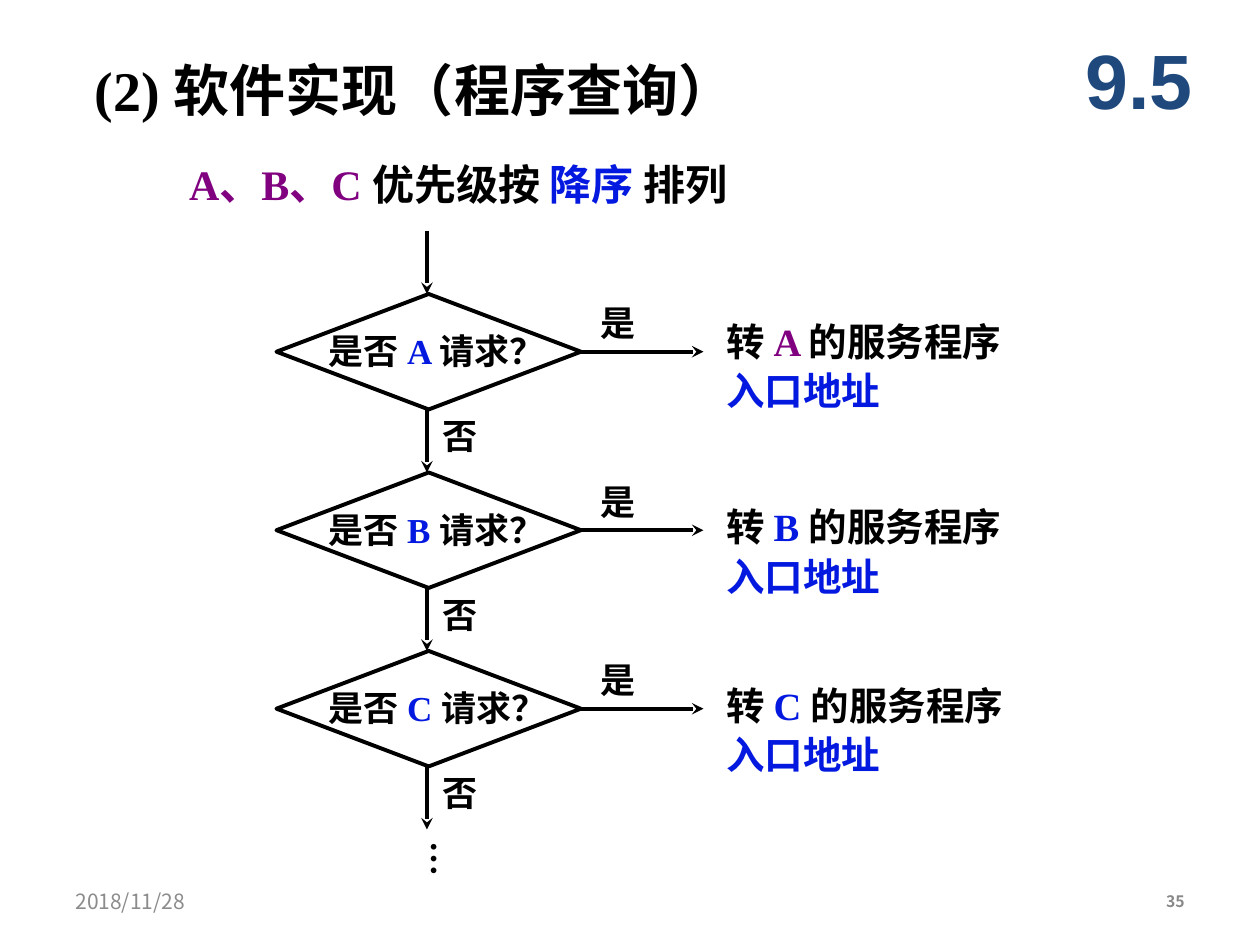
from dataclasses import dataclass
from typing import NamedTuple

from lxml.etree import SubElement
from pptx import Presentation
from pptx.dml.color import RGBColor
from pptx.enum.shapes import MSO_CONNECTOR, MSO_SHAPE
from pptx.enum.text import MSO_ANCHOR, PP_ALIGN
from pptx.oxml.ns import qn
from pptx.util import Pt


@dataclass(frozen=True)
class Theme:
    black: str = "000000"
    blue: str = "0419E0"
    purple: str = "800080"
    navy: str = "1F497D"
    date: str = "8C8C8C"
    number: str = "898989"
    serif: str = "Times New Roman"
    sans: str = "Arial"
    footer: str = "Noto Sans CJK SC"
    title: float = 32
    lead: float = 24
    target: float = 22
    label: float = 20
    section: float = 44
    date_size: float = 12
    number_size: float = 9
    line: float = 2.25


T = Theme()


class Box(NamedTuple):
    x: float
    y: float
    w: float
    h: float


class Run(NamedTuple):
    text: str
    color: str = T.black


class Step(NamedTuple):
    """One query: device, its colour on the right, label width, target offset."""
    device: str
    color: str
    label_w: float
    target_dy: float


STEPS = [
    Step("A", T.purple, 149, 14),
    Step("B", T.blue, 155, 18),
    Step("C", T.blue, 161, 18),
]
AXIS_X, START_Y, ARROW = 244, 132, 36
DIAMOND_X, DIAMOND_W, DIAMOND_H = 158, 174, 66


def add_text(s, box: Box, paragraphs: list[list[Run]], size: float, font: str = T.serif,
             bold: bool = True, align=PP_ALIGN.LEFT, anchor=MSO_ANCHOR.TOP,
             insets=(7.2, 3.6, 7.2, 3.6), line_spacing=None, gap: float = 0):
    tf = s.shapes.add_textbox(*map(Pt, box)).text_frame
    tf.word_wrap = True
    tf.vertical_anchor = anchor
    tf.margin_left, tf.margin_top, tf.margin_right, tf.margin_bottom = map(Pt, insets)
    for i, runs in enumerate(paragraphs):
        p = tf.add_paragraph() if i else tf.paragraphs[0]
        p.alignment = align
        if line_spacing:
            p.line_spacing = line_spacing
        if i and gap:
            p.space_before = Pt(gap)
        for run in runs:
            r = p.add_run()
            r.text = run.text
            r.font.name, r.font.size, r.font.bold = font, Pt(size), bold
            r.font.color.rgb = RGBColor.from_string(run.color)
    return tf


def add_arrow(s, x1: float, y1: float, x2: float, y2: float) -> None:
    c = s.shapes.add_connector(MSO_CONNECTOR.STRAIGHT, *map(Pt, (x1, y1, x2, y2)))
    c.line.color.rgb = RGBColor.from_string(T.black)
    c.line.width = Pt(T.line)
    SubElement(c.line._get_or_add_ln(), qn("a:tailEnd"), type="stealth")
    SubElement(c._element.spPr, qn("a:effectLst"))


def add_diamond(s, box: Box) -> None:
    sp = s.shapes.add_shape(MSO_SHAPE.DIAMOND, *map(Pt, box))
    sp.shadow.inherit = False
    sp.fill.background()
    sp.line.color.rgb = RGBColor.from_string(T.black)
    sp.line.width = Pt(T.line)


def add_step(s, step: Step, top: float) -> None:
    mid, bottom = top + DIAMOND_H / 2, top + DIAMOND_H
    # Question
    add_diamond(s, Box(DIAMOND_X, top, DIAMOND_W, DIAMOND_H))
    add_text(s, Box(188, top + 20.5, step.label_w, 27.5),
             [[Run("是否 "), Run(f"{step.device} ", T.blue), Run("请求？")]],
             T.label, insets=(0, 0, 7.2, 3.6))
    # Yes branch
    add_arrow(s, 330, mid, 402, mid)
    add_text(s, Box(336, top + 1, 48, 31), [[Run("是")]], T.label)
    add_text(s, Box(408, top + step.target_dy, 276, 65.5),
             [[Run("转 "), Run(f"{step.device} ", step.color), Run("的服务程序")],
              [Run("入口地址", T.blue)]],
             T.target, line_spacing=0.85, gap=6)
    # No branch
    add_arrow(s, AXIS_X, bottom, AXIS_X, bottom + ARROW)
    add_text(s, Box(246, bottom - 0.5, 48, 31), [[Run("否")]], T.label)


def main() -> None:
    prs = Presentation()
    prs.slide_width, prs.slide_height = Pt(720), Pt(540)
    s = prs.slides.add_slide(prs.slide_layouts[6])

    # Headings
    heading = dict(anchor=MSO_ANCHOR.MIDDLE, insets=(0, 3.6, 0, 3.6))
    add_text(s, Box(54, 30, 414, 42), [[Run("(2) 软件实现（程序查询）")]], T.title, **heading)
    add_text(s, Box(108, 84, 414, 42),
             [[Run("A、B、C ", T.purple), Run("优先级按 "), Run("降序 ", T.blue), Run("排列")]],
             T.lead, **heading)
    add_text(s, Box(606, 12, 90, 66), [[Run("9.5", T.navy)]], T.section, T.sans,
             align=PP_ALIGN.CENTER, anchor=MSO_ANCHOR.MIDDLE)

    # Query chain
    add_arrow(s, AXIS_X, START_Y, AXIS_X, START_Y + ARROW)
    for i, step in enumerate(STEPS):
        add_step(s, step, START_Y + ARROW + i * (DIAMOND_H + ARROW))
    tf = add_text(s, Box(232, 474, 38, 27.5), [[Run("…")]], T.label)
    tf._txBody.bodyPr.set("vert", "eaVert")

    # Footer
    add_text(s, Box(36, 500.5, 168, 28.75), [[Run("2018/11/28", T.date)]], T.date_size,
             T.footer, bold=False, anchor=MSO_ANCHOR.MIDDLE)
    add_text(s, Box(516, 500.5, 168, 28.75), [[Run("35", T.number)]], T.number_size,
             T.footer, align=PP_ALIGN.RIGHT, anchor=MSO_ANCHOR.MIDDLE)

    prs.save("out.pptx")


if __name__ == "__main__":
    main()
